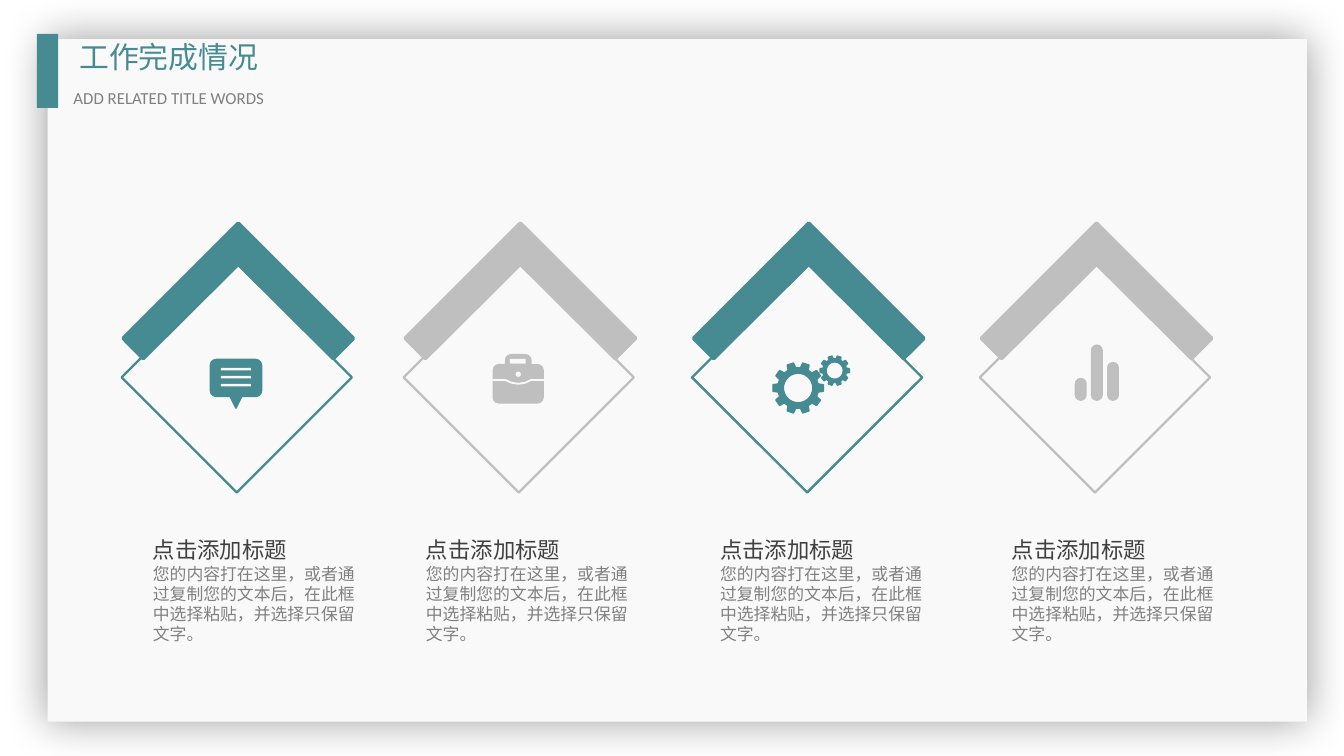
from math import cos, pi, sin

from lxml import etree
from pptx import Presentation
from pptx import util as u
from pptx.dml.color import RGBColor
from pptx.enum import shapes, text
from pptx.oxml import ns, parse_xml

COLORS = {"teal": "468A92", "silver": "BFBFBF", "panel": "F9F9F9",
          "heading": "404040", "body": "808080"}
CJK = "Noto Sans CJK SC"
HEADING = "点击添加标题"
BODY = "您的内容打在这里，或者通过复制您的文本后，在此框中选择粘贴，并选择只保留文字。"
SHAPE = shapes.MSO_SHAPE
FRAME = {"word_wrap": True, "auto_size": text.MSO_AUTO_SIZE.NONE,
         "vertical_anchor": text.MSO_ANCHOR.TOP,
         "margin_left": u.Cm(0.2), "margin_right": u.Cm(0.2),
         "margin_top": u.Cm(0.1), "margin_bottom": u.Cm(0.1)}


def rgb(name):
    return RGBColor.from_string(COLORS[name])


def paint(shape, fill=None, line=None, width=0.75):
    shape.shadow.inherit = False
    for part, color in ((shape.fill, fill), (shape.line.fill, line)):
        if color:
            part.solid()
            part.fore_color.rgb = rgb(color)
        else:
            part.background()
    if line:
        shape.line.width = u.Pt(width)
    return shape


def add_preset(slide, kind, box, fill=None, line=None, width=0.75, rounding=None):
    shape = slide.shapes.add_shape(kind, *(u.Cm(value) for value in box))
    if rounding is not None:
        shape.adjustments[0] = rounding
    return paint(shape, fill, line, width)


def add_outline(slide, contours, fill=None, line=None, width=0.75, close=True):
    """Draw one freeform from lists of points in centimetres."""
    contours = [[(u.Cm(x), u.Cm(y)) for x, y in points] for points in contours]
    builder = slide.shapes.build_freeform(*contours[0][0])
    for index, points in enumerate(contours):
        if index:
            builder.move_to(*points[0])
        builder.add_line_segments(points[1:], close=close)
    return paint(builder.convert_to_shape(), fill, line, width)


def write(frame, lines):
    """Fill a text frame with (wording, size, colour, font, alignment) lines."""
    for name, value in FRAME.items():
        setattr(frame, name, value)
    for index, (wording, size, color, font, alignment) in enumerate(lines):
        paragraph = frame.add_paragraph() if index else frame.paragraphs[0]
        paragraph.alignment = alignment
        run = paragraph.add_run()
        run.text = wording
        for name, value in {"size": u.Pt(size), "name": font}.items():
            setattr(run.font, name, value)
        run.font.color.rgb = rgb(color)
        etree.SubElement(run.font._element, ns.qn("a:ea"), typeface=font)


def add_text(slide, box, lines):
    write(slide.shapes.add_textbox(*(u.Cm(value) for value in box)).text_frame, lines)


def add_backdrop(slide, left, top, width, height):
    panel = add_preset(slide, SHAPE.RECTANGLE, (left, top, width, height), "panel")
    properties = panel.element.spPr
    properties.remove(properties.find(ns.qn("a:effectLst")))
    properties.append(parse_xml(
        f'<a:effectLst {ns.nsdecls("a")}><a:outerShdw blurRad="{u.Pt(23)}" dist="0" '
        'algn="ctr" rotWithShape="0"><a:srgbClr val="000000"><a:alpha val="40000"/>'
        '</a:srgbClr></a:outerShdw></a:effectLst>'))
    slide.shapes.title.element.addprevious(panel.element)


def add_header(slide, left, top):
    add_preset(slide, SHAPE.RECTANGLE, (left, top, 0.4, 1.4), "teal")
    justify = text.PP_ALIGN.JUSTIFY
    title = slide.shapes.title
    box = {"left": left + 0.6, "top": top, "width": 5.1, "height": 0.9}
    for name, value in box.items():
        setattr(title, name, u.Cm(value))
    write(title.text_frame, [("工作完成情况", 16, "teal", CJK, justify)])
    add_text(slide, (left + 0.49, top + 0.91, 5.66, 0.58),
             [("ADD RELATED TITLE WORDS", 9, "body", "Calibri", justify)])


def draw_bubble(slide, x, y, color):
    add_preset(slide, SHAPE.FLOWCHART_MERGE, (x - 0.14, y + 0.33, 0.25, 0.25), color, color)
    add_preset(slide, SHAPE.ROUNDED_RECTANGLE, (x - 0.5, y - 0.34, 0.97, 0.7),
               color, color, rounding=0.16)
    for offset in (-0.15, 0, 0.15):
        add_preset(slide, SHAPE.RECTANGLE, (x - 0.3, y + offset - 0.03, 0.57, 0.05), "panel")


def draw_briefcase(slide, x, y, color):
    parts = [((-0.25, -0.43, 0.48, 0.35), color, 0.3),
             ((-0.17, -0.35, 0.3, 0.09), "panel", 0.1),
             ((-0.48, -0.24, 0.94, 0.72), color, 0.14)]
    for (left, top, width, height), fill, rounding in parts:
        add_preset(slide, SHAPE.ROUNDED_RECTANGLE, (x + left, y + top, width, height),
                   fill, color if fill == color else None, rounding=rounding)
    add_preset(slide, SHAPE.OVAL, (x - 0.06, y - 0.11, 0.1, 0.1), "panel")
    flap = [(-0.5, 0.05), (-0.25, 0.05), (-0.14, 0.1), (-0.01, 0.12),
            (0.12, 0.1), (0.23, 0.05), (0.48, 0.05)]
    add_outline(slide, [[(x + dx, y + dy) for dx, dy in flap]],
                line="panel", width=1, close=False)


def draw_gears(slide, x, y, color):
    def point(center_x, center_y, radius, angle):
        return center_x + radius * cos(angle), center_y + radius * sin(angle)

    for dx, dy, outer in ((-0.17, 0.2, 0.48), (0.52, -0.13, 0.28)):
        center = (x + dx, y + dy)
        teeth = [point(*center, outer * reach, tooth * pi / 5 + turn)
                 for tooth in range(10)
                 for reach, turn in ((0.8, -0.2), (1, -0.13), (1, 0.13), (0.8, 0.2))]
        hole = [point(*center, outer * 0.58, -step * pi / 18) for step in range(36)]
        add_outline(slide, [teeth, hole], color, color)


def draw_bars(slide, x, y, color):
    for column, height in enumerate((0.41, 1.04, 0.71)):
        add_preset(slide, SHAPE.ROUNDED_RECTANGLE,
                   (x - 0.37 + column * 0.305, y + 0.43 - height, 0.2, height),
                   color, color, rounding=0.5)


def add_card(slide, left, top, color, draw_icon, text_offset):
    size, roof_left = 4.35, left + 0.03
    middle = size / 2
    roof = [(middle, 0), (size, middle), (size - 0.38, middle + 0.38), (middle, 0.77),
            (0.38, middle + 0.38), (0, middle)]
    add_outline(slide, [[(roof_left + x, top + y) for x, y in roof]], color, color, 2)
    diamond_top = top + 0.74
    draw_icon(slide, left + middle, diamond_top + middle, color)
    add_preset(slide, SHAPE.DIAMOND, (left, diamond_top, size, size), line=color, width=1.25)
    add_text(slide, (left + text_offset, top + 5.82, 4.4, 3.1),
             [(HEADING, 12, "heading", CJK, None), (BODY, 9, "body", CJK, None)])


def main():
    presentation = Presentation()
    presentation.slide_width, presentation.slide_height = u.Cm(25.4), u.Cm(14.29)
    slide = presentation.slides.add_slide(presentation.slide_layouts[5])
    add_backdrop(slide, 0.9, 0.74, 23.8, 12.9)
    add_header(slide, 0.7, 0.64)
    cards = [(2.3, "teal", draw_bubble, 0.39), (7.63, "silver", draw_briefcase, 0.22),
             (13.08, "teal", draw_gears, 0.33), (18.52, "silver", draw_bars, 0.4)]
    for left, color, draw_icon, text_offset in cards:
        add_card(slide, left, 4.22, color, draw_icon, text_offset)
    presentation.save("out.pptx")


if __name__ == "__main__":
    main()
